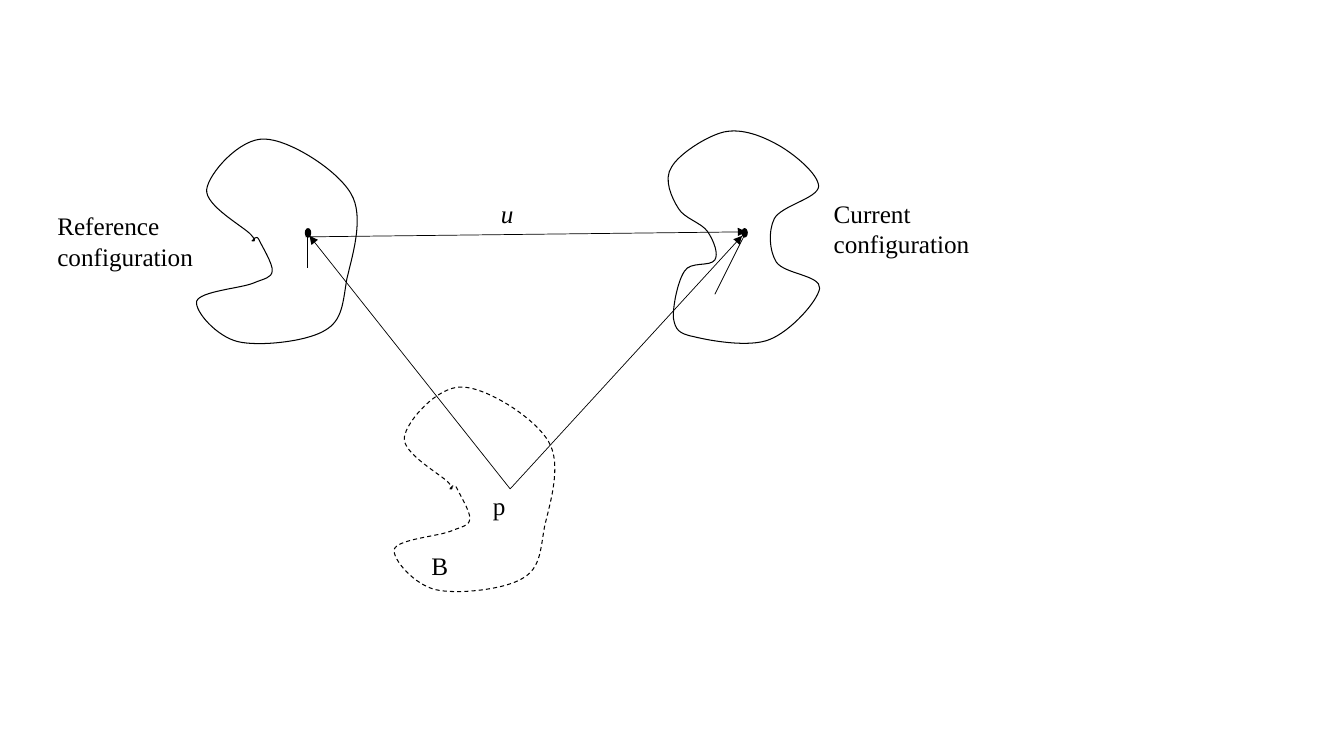
from dataclasses import dataclass

from lxml.etree import SubElement
from pptx import Presentation
from pptx.dml.color import RGBColor
from pptx.enum.dml import MSO_LINE
from pptx.enum.shapes import MSO_CONNECTOR, MSO_SHAPE
from pptx.enum.text import MSO_AUTO_SIZE
from pptx.oxml.ns import qn
from pptx.util import Inches, Pt


@dataclass(frozen=True)
class Theme:
    ink: RGBColor = RGBColor(0, 0, 0)
    font: str = "Times New Roman"
    label_size: float = 18
    outline_width: float = 0.75
    vector_width: float = 0.5
    point_width: float = 1


THEME = Theme()
BODY_OFFSET = (1.96, 2.46)

REFERENCE_BOUNDS = (1.95, 1.38, 1.59, 2.03)
REFERENCE_START = (2.5, 2.39)
REFERENCE_CURVES = [
    ((2.49, 2.38), (2.57, 2.42), (2.49, 2.33)),
    ((2.42, 2.25), (2.03, 2.04), (2.05, 1.88)),
    ((2.07, 1.72), (2.38, 1.37), (2.62, 1.38)),
    ((2.86, 1.38), (3.34, 1.68), (3.48, 1.92)),
    ((3.62, 2.15), (3.49, 2.55), (3.44, 2.77)),
    ((3.4, 3), (3.4, 3.18), (3.22, 3.28)),
    ((3.04, 3.39), (2.57, 3.44), (2.36, 3.39)),
    ((2.15, 3.34), (1.93, 3.09), (1.95, 2.99)),
    ((1.98, 2.89), (2.39, 2.86), (2.51, 2.81)),
    ((2.63, 2.76), (2.69, 2.76), (2.7, 2.69)),
    ((2.71, 2.62), (2.59, 2.43), (2.57, 2.38)),
    ((2.54, 2.32), (2.51, 2.39), (2.5, 2.39)),
]

CURRENT_BOUNDS = (6.62, 1.3, 1.5, 2.1)
CURRENT_START = (7.02, 2.3)
CURRENT_CURVES = [
    ((6.96, 2.21), (6.79, 2.17), (6.73, 2.07)),
    ((6.66, 1.96), (6.58, 1.78), (6.66, 1.66)),
    ((6.73, 1.53), (7.01, 1.35), (7.18, 1.31)),
    ((7.36, 1.27), (7.56, 1.35), (7.72, 1.44)),
    ((7.88, 1.53), (8.12, 1.73), (8.12, 1.85)),
    ((8.11, 1.97), (7.75, 2.04), (7.68, 2.17)),
    ((7.62, 2.29), (7.63, 2.49), (7.7, 2.6)),
    ((7.78, 2.72), (8.14, 2.73), (8.13, 2.86)),
    ((8.11, 2.99), (7.84, 3.29), (7.63, 3.37)),
    ((7.43, 3.45), (7.04, 3.38), (6.88, 3.34)),
    ((6.73, 3.31), (6.7, 3.27), (6.68, 3.16)),
    ((6.67, 3.06), (6.72, 2.79), (6.79, 2.69)),
    ((6.85, 2.59), (7.04, 2.65), (7.09, 2.58)),
    ((7.13, 2.52), (7.08, 2.39), (7.02, 2.3)),
]


def style_line(line, width):
    line.color.rgb = THEME.ink
    line.width = Pt(width)


def draw_curves(body, bounds, start, curves):
    outline = next(body._element.iter(qn("a:path")))
    for segment in list(outline):
        outline.remove(segment)
    for tag, points in [("a:moveTo", [start])] + [
        ("a:cubicBezTo", curve) for curve in curves
    ]:
        segment = SubElement(outline, qn(tag))
        for x, y in points:
            SubElement(
                segment,
                qn("a:pt"),
                x=str(int(Inches(x - bounds[0]))),
                y=str(int(Inches(y - bounds[1]))),
            )
    SubElement(outline, qn("a:close"))


def add_body(page, bounds, start, curves, offset=(0, 0), dash=None):
    left, top = Inches(bounds[0] + offset[0]), Inches(bounds[1] + offset[1])
    right, bottom = left + Inches(bounds[2]), top + Inches(bounds[3])
    builder = page.shapes.build_freeform(left, top)
    builder.add_line_segments([(right, bottom)])
    body = builder.convert_to_shape()
    draw_curves(body, bounds, start, curves)
    body.shadow.inherit = False
    body.fill.background()
    style_line(body.line, THEME.outline_width)
    if dash is not None:
        body.line.dash_style = dash


def add_point(page, left, top):
    point = page.shapes.add_shape(
        MSO_SHAPE.OVAL, Inches(left), Inches(top), Inches(0.05), Inches(0.08)
    )
    point.shadow.inherit = False
    point.fill.solid()
    point.fill.fore_color.rgb = THEME.ink
    style_line(point.line, THEME.point_width)


def add_vector(page, start, end, arrow=True):
    ends = [Inches(value) for value in (*start, *end)]
    vector = page.shapes.add_connector(MSO_CONNECTOR.STRAIGHT, *ends)
    style_line(vector.line, THEME.vector_width)
    if arrow:
        SubElement(vector.line._get_or_add_ln(), qn("a:tailEnd"), type="triangle")
    SubElement(vector._element.spPr, qn("a:effectLst"))


def add_label(page, text, left, top, width, height=0.4, wrap=False, italic=False):
    box = page.shapes.add_textbox(
        Inches(left), Inches(top), Inches(width), Inches(height)
    )
    frame = box.text_frame
    frame.word_wrap = wrap
    frame.auto_size = MSO_AUTO_SIZE.SHAPE_TO_FIT_TEXT
    frame.text = text
    for para in frame.paragraphs:
        for span in para.runs:
            span.font.name = THEME.font
            span.font.size = Pt(THEME.label_size)
            span.font.italic = italic
            span.font.color.rgb = THEME.ink


def main():
    deck = Presentation()
    deck.slide_width = Inches(13.33)
    deck.slide_height = Inches(7.5)
    page = deck.slides.add_slide(deck.slide_layouts[6])

    reference = (REFERENCE_BOUNDS, REFERENCE_START, REFERENCE_CURVES)
    add_body(page, *reference)
    add_body(page, *reference, offset=BODY_OFFSET, dash=MSO_LINE.DASH)
    add_body(page, CURRENT_BOUNDS, CURRENT_START, CURRENT_CURVES)
    add_label(page, "B", 4.18, 5.41, 0.35)

    for left in (3.03, 7.36):
        add_point(page, left, 2.27)

    origin = (5.06, 4.85)
    add_vector(page, origin, (7.36, 2.34))
    add_vector(page, origin, (3.07, 2.34))
    add_label(page, "p", 4.79, 4.82, 2.39, wrap=True)
    add_vector(page, (3.03, 2.35), (7.4, 2.3))
    add_label(page, "u", 4.87, 1.92, 0.34, italic=True)
    add_vector(page, (3.05, 2.34), (3.05, 2.66), arrow=False)
    add_vector(page, (7.4, 2.3), (7.09, 2.92), arrow=False)
    add_label(page, "Reference\nconfiguration", 0.47, 2.04, 1.57, 0.71)
    add_label(page, "Current\nconfiguration", 8.17, 1.92, 1.57, 0.71)

    deck.save("out.pptx")


if __name__ == "__main__":
    main()
